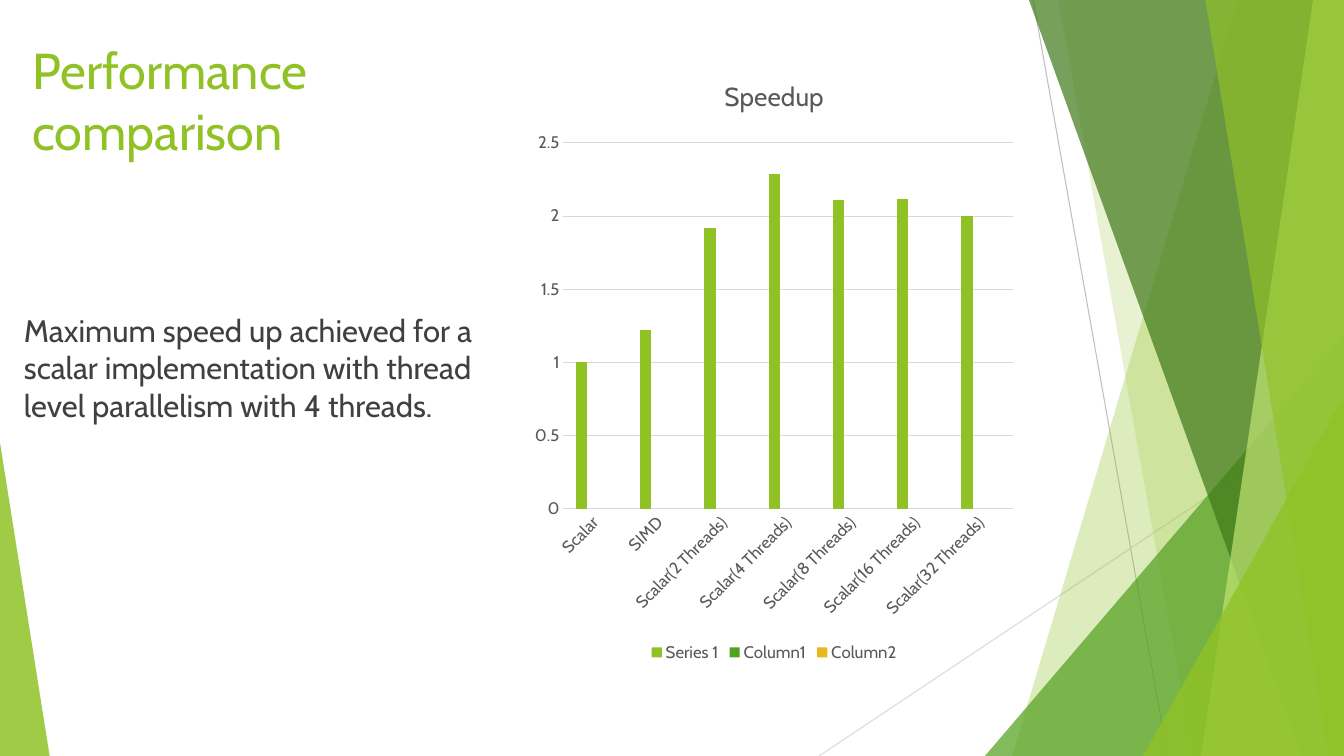
import lxml.etree
import pptx
import pptx.chart.data
import pptx.dml.color
import pptx.enum.chart
import pptx.enum.shapes
import pptx.enum.text
import pptx.oxml.ns
import pptx.util

Pt = pptx.util.Pt
qn = pptx.oxml.ns.qn
FONT = "Cabin"
COLORS = {
    "lime": "90C226", "green": "54A021", "forest": "3F7819", "pale": "C0E474",
    "gold": "E6B91E", "body": "404040", "label": "595959",
    "grid": "D9D9D9", "ray": "BFBFBF",
}


def color(name):
    return pptx.dml.color.RGBColor.from_string(COLORS[name])


def style_font(font, size, name):
    font.name = FONT
    font.size = Pt(size)
    font.bold = False
    font.color.rgb = color(name)


presentation = pptx.Presentation()
presentation.slide_width = Pt(960)
presentation.slide_height = Pt(540)
slide = presentation.slides.add_slide(presentation.slide_layouts[5])
shapes = slide.shapes

rays = [((738, 0), (834, 540), "ray"), ((960, 290), (585, 540), "grid")]
for start, end, name in rays:
    ray = shapes.add_connector(
        pptx.enum.shapes.MSO_CONNECTOR.STRAIGHT, *[Pt(value) for value in start + end])
    ray.line.color.rgb = color(name)
    ray.line.width = Pt(0.75)
    lxml.etree.SubElement(ray._element.spPr, qn("a:effectLst"))

bands = [
    ("band", (884, 723), "lime", 30),
    ("band", (756, 852), "lime", 20),
    ("triangle", (703.5, 240, 256.5, 300, 1), "green", 72),
    ("band", (735, 929.5), "forest", 70),
    ("band", (938, 858), "pale", 70),
    ("band", (861, 949), "lime", 65),
    ("triangle", (816.5, 283, 143.5, 257, 1), "lime", 80),
    ("triangle", (0, 316, 35.5, 224, 0), "lime", 85),
]
for kind, geometry, name, opacity in bands:
    if kind == "band":
        top, bottom = geometry
        builder = shapes.build_freeform(top, 0, scale=Pt(1))
        builder.add_line_segments([(960, 0), (960, 540), (bottom, 540)], close=True)
        shape = builder.convert_to_shape()
    else:
        shape = shapes.add_shape(
            pptx.enum.shapes.MSO_SHAPE.ISOSCELES_TRIANGLE,
            *[Pt(value) for value in geometry[:4]])
        shape.adjustments[0] = geometry[4]
    shape.shadow.inherit = False
    shape.line.fill.background()
    shape.fill.solid()
    shape.fill.fore_color.rgb = color(name)
    fill_color = shape._element.spPr.find(".//" + qn("a:srgbClr"))
    lxml.etree.SubElement(fill_color, qn("a:alpha"), val=str(opacity * 1000))

title = shapes.title
body = shapes.add_textbox(Pt(10), Pt(219), Pt(365), Pt(131))
title.left, title.top, title.width, title.height = Pt(16), Pt(17), Pt(341), Pt(101)
texts = [
    (title, "Performance comparison", 36, "lime", pptx.enum.text.MSO_ANCHOR.BOTTOM),
    (body, "Maximum speed up achieved for a scalar implementation with thread "
           "level parallelism with 4 threads.", 22.2, "body", pptx.enum.text.MSO_ANCHOR.TOP),
]
for shape, text, size, name, anchor in texts:
    frame = shape.text_frame
    frame.text = text
    frame.word_wrap = True
    frame.auto_size = pptx.enum.text.MSO_AUTO_SIZE.NONE
    frame.vertical_anchor = anchor
    paragraph = frame.paragraphs[0]
    paragraph.alignment = pptx.enum.text.PP_ALIGN.LEFT
    style_font(paragraph.font, size, name)
body.text_frame.paragraphs[0].space_before = Pt(10)

data = pptx.chart.data.CategoryChartData()
data.categories = ["Scalar", "SIMD"] + [f"Scalar({count} Threads)" for count in (2, 4, 8, 16, 32)]
data.add_series("Series 1", [1, 1.22, 1.92, 2.29, 2.11, 2.12, 2])
data.add_series("Column1", [None] * 7)
data.add_series("Column2", [None] * 7)
chart = shapes.add_chart(
    pptx.enum.chart.XL_CHART_TYPE.COLUMN_CLUSTERED,
    Pt(375), Pt(40), Pt(356), Pt(436), data).chart
style_font(chart.font, 12, "label")
chart.has_title = True
chart.chart_title.include_in_layout = False
chart.chart_title.text_frame.text = "Speedup"
style_font(chart.chart_title.text_frame.paragraphs[0].font, 18.6, "label")
chart.has_legend = True
chart.legend.position = pptx.enum.chart.XL_LEGEND_POSITION.BOTTOM
chart.legend.include_in_layout = False
style_font(chart.legend.font, 12, "label")

plot = chart.plots[0]
plot.gap_width = 219
plot.overlap = -27
plot.vary_by_categories = False
for series, name in zip(plot.series, ("lime", "green", "gold")):
    series.format.fill.solid()
    series.format.fill.fore_color.rgb = color(name)

category_axis, value_axis = chart.category_axis, chart.value_axis
for axis in (category_axis, value_axis):
    axis.major_tick_mark = pptx.enum.chart.XL_TICK_MARK.NONE
    axis.minor_tick_mark = pptx.enum.chart.XL_TICK_MARK.NONE
    style_font(axis.tick_labels.font, 12, "label")
value_axis.minimum_scale = 0
value_axis.maximum_scale = 2.5
value_axis.major_unit = 0.5
value_axis.has_major_gridlines = True
value_axis.format.line.fill.background()
for line in (category_axis.format.line, value_axis.major_gridlines.format.line):
    line.color.rgb = color("grid")
    line.width = Pt(0.75)
label_body = category_axis._element.find(qn("c:txPr")).find(qn("a:bodyPr"))
label_body.set("rot", "-2700000")
label_body.set("vert", "horz")

presentation.save("out.pptx")
